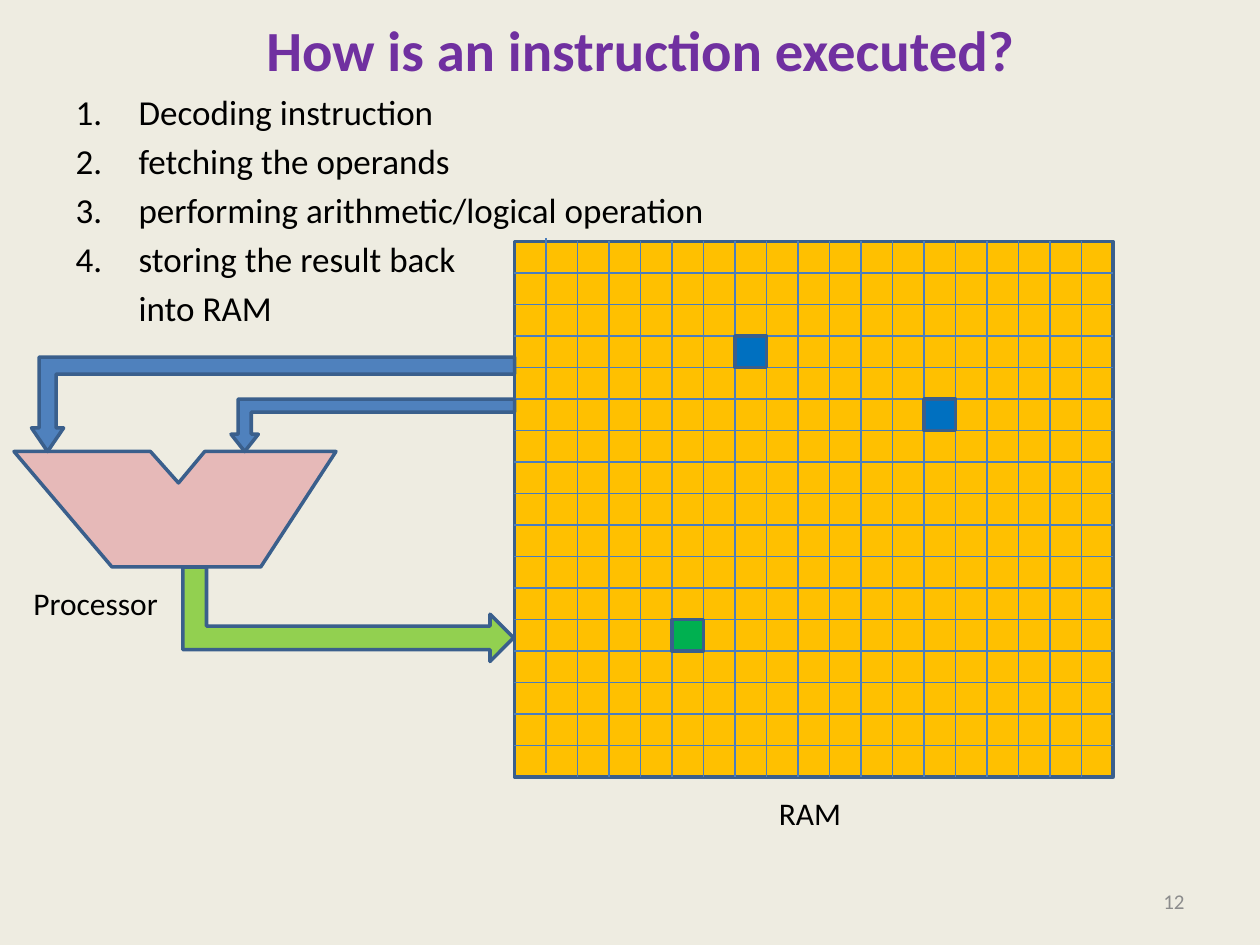
from lxml import etree
from pptx import Presentation
from pptx.dml.color import RGBColor
from pptx.enum.shapes import MSO_CONNECTOR, MSO_SHAPE
from pptx.enum.text import MSO_ANCHOR, MSO_AUTO_SIZE, PP_ALIGN
from pptx.oxml.ns import qn
from pptx.util import Pt

STRAIGHT = MSO_CONNECTOR.STRAIGHT
RECTANGLE, BENT_ARROW = MSO_SHAPE.RECTANGLE, MSO_SHAPE.BENT_UP_ARROW
TOP, MIDDLE = MSO_ANCHOR.TOP, MSO_ANCHOR.MIDDLE
LEFT, CENTER, RIGHT = PP_ALIGN.LEFT, PP_ALIGN.CENTER, PP_ALIGN.RIGHT
NO_FIT = MSO_AUTO_SIZE.NONE

CELL, COLUMNS, ROWS = 18, 19, 17
RAM_LEFT, RAM_TOP = 294, 138
RAM_RIGHT, RAM_BOTTOM = RAM_LEFT + COLUMNS * CELL, RAM_TOP + ROWS * CELL
STEPS = ["Decoding instruction", "fetching the operands",
         "performing arithmetic/logical operation", "storing the result back"]
PROCESSOR = [(8, 258.5), (86, 258.5), (102.5, 276.5), (117, 258.5),
             (192, 258.5), (149, 324), (64, 324)]


def color(value):
    return RGBColor.from_string(value)


class SlideBuilder:
    """Draws styled elements on one slide, with all lengths in points."""

    font_name = "Calibri"
    outline = "3A5F8C"
    grid = "4B7EBC"

    def __init__(self, deck, background):
        self.page = deck.slides.add_slide(deck.slide_layouts[1])
        self.page.background.fill.solid()
        self.page.background.fill.fore_color.rgb = color(background)

    def place(self, box, left, top, width, height):
        box.left, box.top, box.width, box.height = map(Pt, (left, top, width, height))

    def style_text(self, para, size, shade, align=LEFT, bold=False):
        para.alignment = align
        para.font.name, para.font.size, para.font.bold = self.font_name, Pt(size), bold
        para.font.color.rgb = color(shade)

    def title(self, text, frame):
        box = self.page.shapes.title
        self.place(box, *frame)
        box.text_frame.text = text
        box.text_frame.auto_size = NO_FIT
        box.text_frame.vertical_anchor = TOP
        box.text_frame.margin_top = Pt(5.5)
        self.style_text(box.text_frame.paragraphs[0], 32.4, "7030A0", CENTER, True)

    def numbered_list(self, items, continuation, frame):
        box = self.page.placeholders[1]
        self.place(box, *frame)
        box.text_frame.text = "\n".join(items + [continuation])
        box.text_frame.auto_size = NO_FIT
        for index, para in enumerate(box.text_frame.paragraphs):
            self.style_text(para, 20, "000000")
            para.space_before = Pt(4)
            numbered = index < len(items)
            properties = para._p.get_or_add_pPr()
            properties.set("marL", str(Pt(36)))
            properties.set("indent", str(Pt(-36 if numbered else 0)))
            bullet = etree.Element(qn("a:buAutoNum" if numbered else "a:buNone"))
            if numbered:
                bullet.set("type", "arabicPeriod")
            properties.find(qn("a:spcBef")).addnext(bullet)

    def label(self, text, frame, size=18, shade="000000", align=LEFT, anchor=TOP):
        box = self.page.shapes.add_textbox(*map(Pt, frame))
        box.text_frame.text = text
        box.text_frame.word_wrap = align == RIGHT
        box.text_frame.vertical_anchor = anchor
        self.style_text(box.text_frame.paragraphs[0], size, shade, align)

    def paint(self, shape, fill):
        shape.shadow.inherit = False
        shape.fill.solid()
        shape.fill.fore_color.rgb = color(fill)
        shape.line.color.rgb = color(self.outline)
        shape.line.width = Pt(2)

    def shape(self, kind, frame, fill, rotation=0, adjustments=()):
        shape = self.page.shapes.add_shape(kind, *map(Pt, frame))
        shape.rotation = rotation
        for index, value in enumerate(adjustments):
            shape.adjustments[index] = value
        self.paint(shape, fill)

    def polygon(self, points, fill):
        builder = self.page.shapes.build_freeform(*points[0], scale=Pt(1))
        builder.add_line_segments(points[1:], close=True)
        self.paint(builder.convert_to_shape(), fill)

    def line(self, *ends):
        line = self.page.shapes.add_connector(STRAIGHT, *map(Pt, ends))
        line.line.color.rgb = color(self.grid)
        line.line.width = Pt(0.75)
        etree.SubElement(line._element.spPr, qn("a:effectLst"))

    def memory_cell(self, column, row, fill):
        frame = (RAM_LEFT + column * CELL, RAM_TOP + row * CELL, CELL, CELL)
        self.shape(RECTANGLE, frame, fill)


def main():
    deck = Presentation()
    deck.slide_width, deck.slide_height = Pt(720), Pt(540)
    slide = SlideBuilder(deck, "EEECE1")
    slide.title("How is an instruction executed?", (42, 3, 648, 90))
    slide.numbered_list(STEPS, "into RAM", (36, 48, 648, 462))
    slide.label("12", (516, 500.5, 168, 28.75), 12, "8C8C8C", RIGHT, MIDDLE)

    slide.shape(RECTANGLE, (RAM_LEFT, RAM_TOP, COLUMNS * CELL, ROWS * CELL), "FFC000")
    for column in range(1, COLUMNS):
        x = RAM_LEFT + column * CELL
        shift = -2 if column == 1 else 0
        slide.line(x, RAM_TOP + shift, x, RAM_BOTTOM + shift)
    for row in range(1, ROWS):
        y = RAM_TOP + row * CELL
        slide.line(RAM_LEFT, y, RAM_RIGHT, y)
    slide.label("RAM", (438, 450, 50, 29))
    slide.label("Processor", (12, 330, 86, 29))

    slide.polygon(PROCESSOR, "E6B9B8")
    slide.shape(BENT_ARROW, (18, 204, 276, 54), "4F81BD", 180, (0.18, 0.17, 0.25))
    slide.shape(BENT_ARROW, (132, 228, 162, 30), "4F81BD", 180, (0.25, 0.26, 0.33))
    slide.shape(BENT_ARROW, (172, 256.5, 54, 189), "92D050", 90)
    slide.memory_cell(7, 3, "0070C0")
    slide.memory_cell(13, 5, "0070C0")
    slide.memory_cell(5, 12, "00B050")
    deck.save("out.pptx")


if __name__ == "__main__":
    main()
